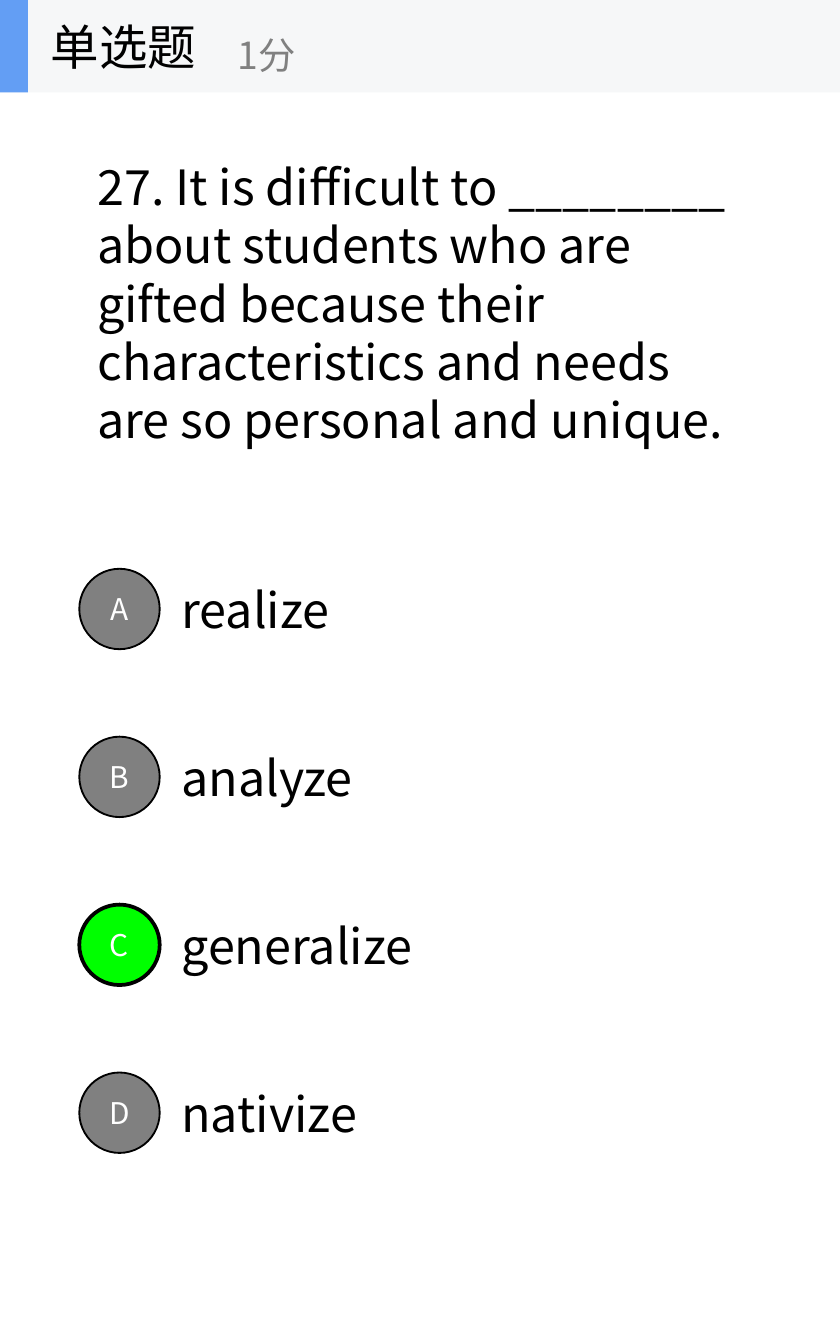
from dataclasses import dataclass

from lxml.etree import SubElement
from pptx import Presentation
from pptx.dml.color import RGBColor
from pptx.enum.shapes import MSO_SHAPE
from pptx.enum.text import MSO_ANCHOR, PP_ALIGN
from pptx.oxml.ns import qn
from pptx.util import Cm, Pt


@dataclass(frozen=True)
class Theme:
    font: str = "Noto Sans CJK SC"
    text: str = "000000"
    muted: str = "808080"
    correct: str = "00FF00"
    white: str = "FFFFFF"
    band: str = "F6F7F8"
    accent: str = "639EF4"
    body_size: float = 26
    points_size: float = 20
    letter_size: float = 16
    line_spacing: float = 31.2


THEME = Theme()

QUESTION = (
    "27. It is difficult to ________ about students who are gifted because "
    "their characteristics and needs are so personal and unique."
)
OPTIONS = ["realize", "analyze", "generalize", "nativize"]
ANSWER = "generalize"


def write_text(shape, text, size, color, wrap=True, align=PP_ALIGN.LEFT):
    """Fill a shape with one vertically centred paragraph."""
    frame = shape.text_frame
    frame.text = text
    frame.word_wrap = wrap
    frame.vertical_anchor = MSO_ANCHOR.MIDDLE
    paragraph = frame.paragraphs[0]
    paragraph.alignment = align
    for run in paragraph.runs:
        run.font.size = Pt(size)
        run.font.name = THEME.font
        run.font.color.rgb = RGBColor.from_string(color)
        east_asian = SubElement(run.font._element, qn("a:ea"))
        east_asian.set("typeface", THEME.font)
    return paragraph


def add_text(shapes, box, text, size, color, wrap=True):
    textbox = shapes.add_textbox(*map(Cm, box))
    return write_text(textbox, text, size, color, wrap)


def add_filled(shapes, kind, box, fill, line_width=0):
    shape = shapes.add_shape(kind, *map(Cm, box))
    shape.shadow.inherit = False
    shape.fill.solid()
    shape.fill.fore_color.rgb = RGBColor.from_string(fill)
    if line_width:
        shape.line.color.rgb = RGBColor.from_string(THEME.text)
        shape.line.width = Pt(line_width)
    else:
        shape.line.fill.background()
    return shape


def add_header(slide, left, top, width, height):
    shapes = slide.shapes.add_group_shape().shapes
    add_filled(shapes, MSO_SHAPE.RECTANGLE, (left, top, width, height), THEME.band)
    add_filled(shapes, MSO_SHAPE.RECTANGLE, (left, top, 0.53, height), THEME.accent)
    add_text(shapes, (left + 0.71, top, 5.28, height), "单选题",
             THEME.body_size, THEME.text, wrap=False)
    add_text(shapes, (left + 4.24, top + 0.32, 6.35, height - 0.32), "1分",
             THEME.points_size, THEME.muted, wrap=False)


def add_question(slide, left, top, width, height):
    paragraph = add_text(slide.shapes, (left, top, width, height), QUESTION,
                         THEME.body_size, THEME.text)
    paragraph.line_spacing = Pt(THEME.line_spacing)


def add_option(slide, left, top, width, height, letter, text):
    """Place a lettered circle and, to its right, the option wording."""
    diameter, text_offset = 1.52, 1.68
    add_text(slide.shapes, (left + text_offset, top, width - text_offset, height),
             text, THEME.body_size, THEME.text)
    is_answer = text == ANSWER
    circle = add_filled(
        slide.shapes, MSO_SHAPE.OVAL,
        (left, top + (height - diameter) / 2, diameter, diameter),
        THEME.correct if is_answer else THEME.muted,
        line_width=2 if is_answer else 1,
    )
    frame = circle.text_frame
    frame.margin_left = frame.margin_right = 0
    frame.margin_top = frame.margin_bottom = 0
    write_text(circle, letter, THEME.letter_size, THEME.white, align=PP_ALIGN.CENTER)


def add_options(slide, left, top, width, height):
    row_height = 2.38
    step = (height - row_height) / (len(OPTIONS) - 1)
    for index, (letter, text) in enumerate(zip("ABCD", OPTIONS)):
        add_option(slide, left, top + index * step, width, row_height, letter, text)


def main():
    presentation = Presentation()
    presentation.slide_width = Cm(15.88)
    presentation.slide_height = Cm(25.4)
    slide = presentation.slides.add_slide(presentation.slide_layouts[6])
    add_question(slide, 1.59, 1.75, 12.7, 7.94)
    add_options(slide, 1.5, 10.32, 12.79, 11.9)
    add_header(slide, 0, 0, 15.88, 1.75)
    presentation.save("out.pptx")


if __name__ == "__main__":
    main()
